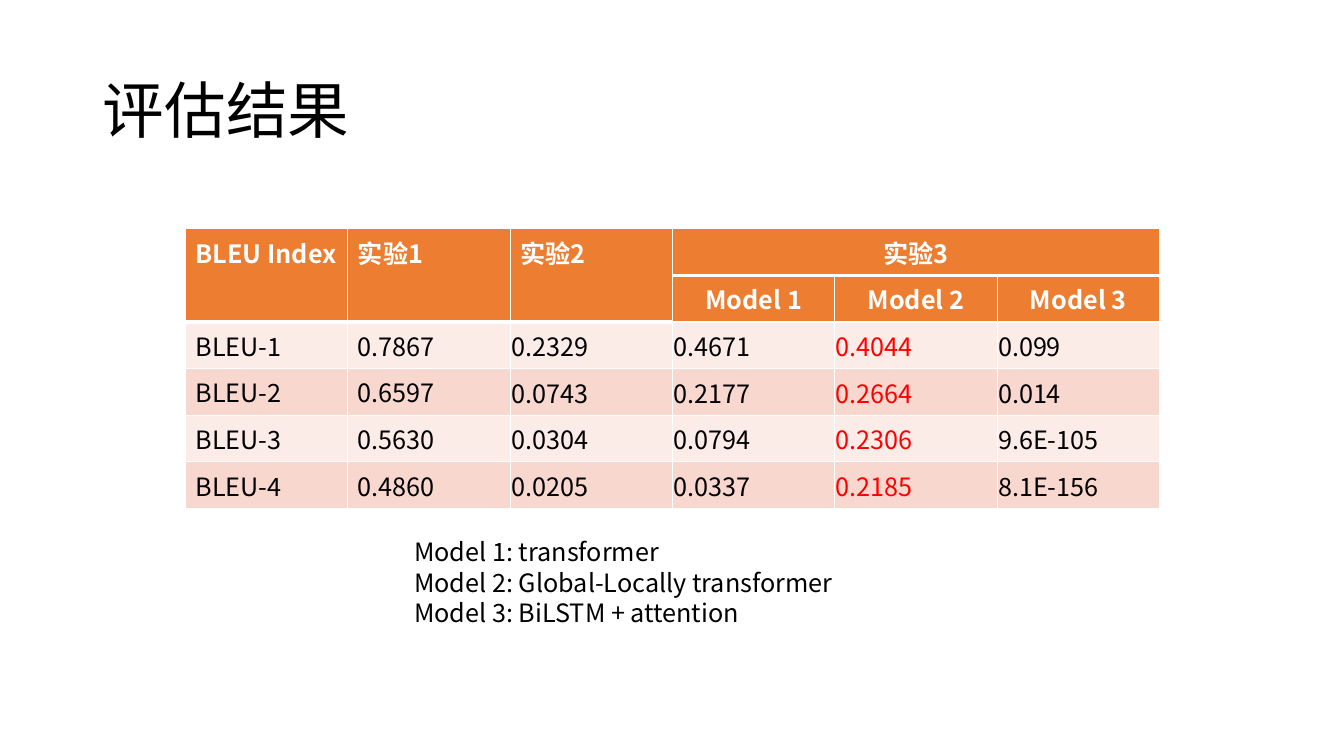
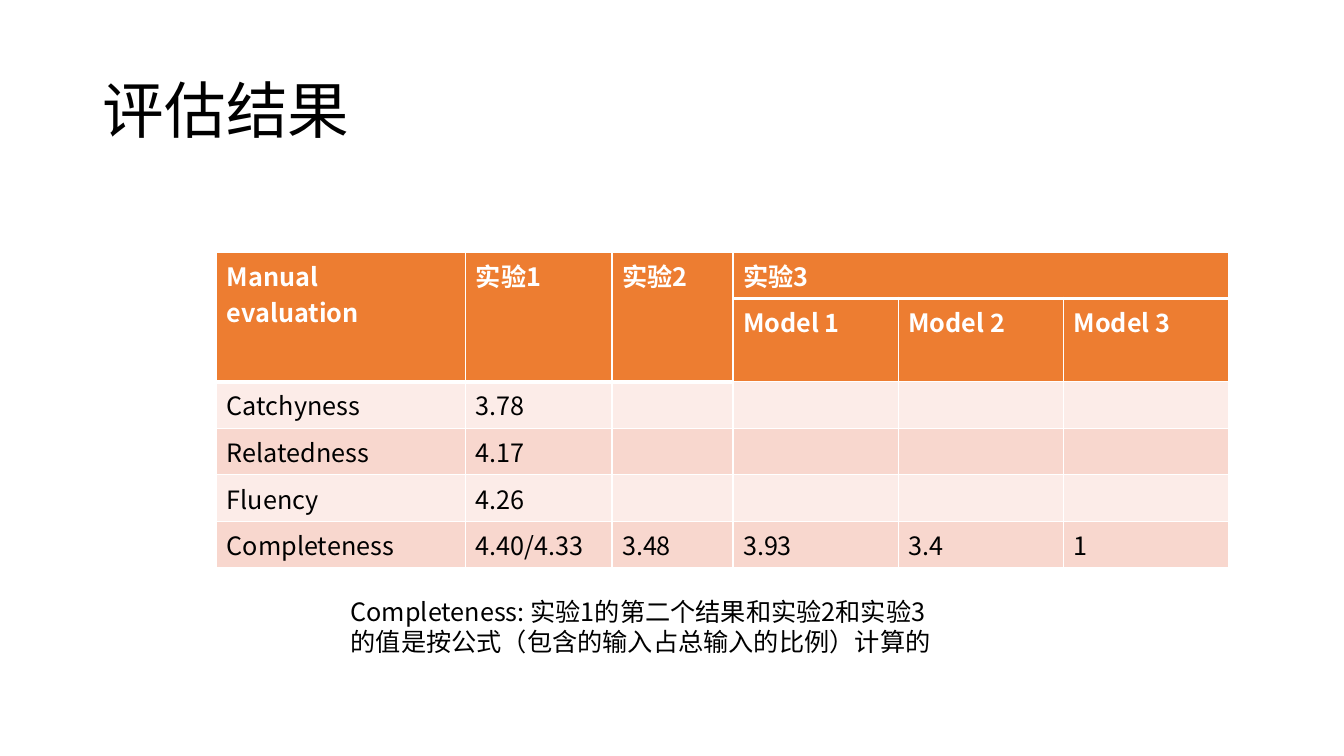
import pptx
import pptx.dml.color
import pptx.enum.text
import pptx.oxml.ns
import pptx.util
from lxml import etree

Inches, Pt = pptx.util.Inches, pptx.util.Pt
RGBColor = pptx.dml.color.RGBColor
PP_ALIGN, MSO_ANCHOR = pptx.enum.text.PP_ALIGN, pptx.enum.text.MSO_ANCHOR
qn = pptx.oxml.ns.qn

FONT = "Noto Sans CJK SC"
BLACK = RGBColor(0x00, 0x00, 0x00)
WHITE = RGBColor(0xFF, 0xFF, 0xFF)
RED = RGBColor(0xFF, 0x00, 0x00)
ORANGE = RGBColor(0xED, 0x7D, 0x31)
BANDS = (RGBColor(0xFC, 0xEC, 0xE8), RGBColor(0xF8, 0xD7, 0xCE))

TITLE = "评估结果"
ROW_HEIGHT = 0.46
HEADER_ROWS = 2
MODEL_COL = 3  # first column under the shared heading
EXPERIMENTS = ["实验1", "实验2", "实验3", "", ""]
MODELS = ["", "", "", "Model 1", "Model 2", "Model 3"]

SLIDES = [
    {
        "table_at": (1.84, 2.27),
        "columns": [1.61] * 6,
        "rows": [
            ["BLEU Index"] + EXPERIMENTS,
            MODELS,
            ["BLEU-1", "0.7867", "0.2329", "0.4671", "0.4044", "0.099"],
            ["BLEU-2", "0.6597", "0.0743", "0.2177", "0.2664", "0.014"],
            ["BLEU-3", "0.5630", "0.0304", "0.0794", "0.2306", "9.6E-105"],
            ["BLEU-4", "0.4860", "0.0205", "0.0337", "0.2185", "8.1E-156"],
        ],
        "model_align": PP_ALIGN.CENTER,
        "red_col": 4,
        "tight_from": 2,
        "note_box": (4.01, 5.27, 6.48, 1.01),
        "note": [
            "Model 1: transformer",
            "Model 2: Global-Locally transformer",
            "Model 3: BiLSTM + attention",
        ],
    },
    {
        "table_at": (2.15, 2.5),
        "columns": [2.47, 1.45, 1.2, 1.64, 1.64, 1.64],
        "rows": [
            ["Manual evaluation"] + EXPERIMENTS,
            MODELS,
            ["Catchyness", "3.78", "", "", "", ""],
            ["Relatedness", "4.17", "", "", "", ""],
            ["Fluency", "4.26", "", "", "", ""],
            ["Completeness", "4.40/4.33", "3.48", "3.93", "3.4", "1"],
        ],
        "model_align": PP_ALIGN.LEFT,
        "red_col": None,
        "tight_from": 6,
        "note_box": (3.38, 5.86, 5.96, 1.01),
        "note": ["Completeness: 实验1的第二个结果和实验2和实验3的值是按公式"
                 "（包含的输入占总输入的比例）计算的"],
    },
]


def style_paragraph(p, size, color=BLACK, bold=False, align=PP_ALIGN.LEFT):
    p.alignment = align
    p.font.size = Pt(size)
    p.font.bold = bold
    p.font.color.rgb = color
    p.font.name = FONT
    defaults = p._p.pPr.find(qn("a:defRPr"))
    etree.SubElement(defaults, qn("a:ea"), typeface=FONT)


def bottom_width(row, col):
    """Points of the rule under a cell: heavy below the headings."""
    return 3 if row == 0 or (row == 1 and col < MODEL_COL) else 1


def add_borders(cell, row, col):
    widths = {"L": 1, "R": 1, "T": bottom_width(row - 1, col),
              "B": bottom_width(row, col)}
    tcPr = cell._tc.get_or_add_tcPr()
    for side, width in widths.items():
        ln = etree.SubElement(tcPr, qn("a:ln" + side), w=str(Pt(width)))
        fill = etree.SubElement(ln, qn("a:solidFill"))
        etree.SubElement(fill, qn("a:srgbClr"), val=str(WHITE))


def format_cell(cell, row, col, data):
    header = row < HEADER_ROWS
    add_borders(cell, row, col)
    cell.fill.solid()
    cell.fill.fore_color.rgb = ORANGE if header else BANDS[row % 2]
    cell.text = data["rows"][row][col]
    if header:
        color = WHITE
    else:
        color = RED if col == data["red_col"] else BLACK
    centred = header and col >= MODEL_COL
    style_paragraph(cell.text_frame.paragraphs[0], 18, color, header,
                    data["model_align"] if centred else PP_ALIGN.LEFT)
    if not header and col >= data["tight_from"]:
        cell.vertical_anchor = MSO_ANCHOR.MIDDLE
        cell.margin_left = cell.margin_right = cell.margin_top = Inches(0.01)
        cell.margin_bottom = 0


def add_result_table(s, data):
    rows, columns = data["rows"], data["columns"]
    x, y = data["table_at"]
    table = s.shapes.add_table(
        len(rows), len(columns), Inches(x), Inches(y),
        Inches(sum(columns)), Inches(ROW_HEIGHT * len(rows))).table
    table.first_row = table.horz_banding = False
    for column, width in zip(table.columns, columns):
        column.width = Inches(width)
    for r, row in enumerate(table.rows):
        row.height = Inches(ROW_HEIGHT)
        for c in range(len(columns)):
            format_cell(table.cell(r, c), r, c, data)
    for c in range(MODEL_COL):
        table.cell(0, c).merge(table.cell(1, c))
    table.cell(0, MODEL_COL).merge(table.cell(0, len(columns) - 1))


def add_note(s, data):
    tf = s.shapes.add_textbox(*map(Inches, data["note_box"])).text_frame
    tf.word_wrap = True
    tf.text = "\n".join(data["note"])
    for p in tf.paragraphs:
        style_paragraph(p, 18)
        p.line_spacing = Pt(21.8)


def add_title(s):
    title = s.shapes.title
    title.left, title.top = Inches(0.92), Inches(0.4)
    title.width, title.height = Inches(11.5), Inches(1.45)
    title.text_frame.text = TITLE
    title.text_frame.vertical_anchor = MSO_ANCHOR.MIDDLE
    p = title.text_frame.paragraphs[0]
    style_paragraph(p, 44)
    p.line_spacing = 0.9


def main():
    prs = pptx.Presentation()
    prs.slide_width, prs.slide_height = Inches(13.33), Inches(7.5)
    title_only = prs.slide_layouts[5]
    for data in SLIDES:
        s = prs.slides.add_slide(title_only)
        add_title(s)
        add_result_table(s, data)
        add_note(s, data)
    prs.save("out.pptx")


if __name__ == "__main__":
    main()
